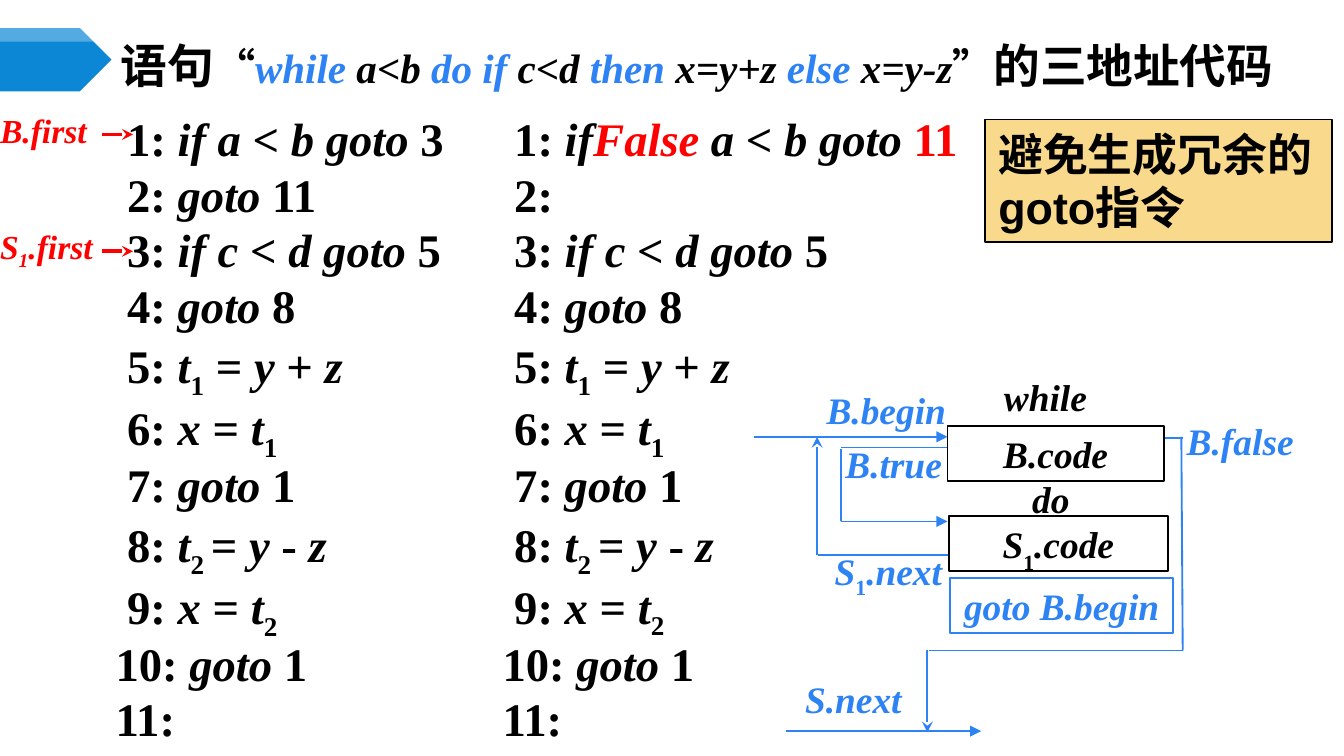
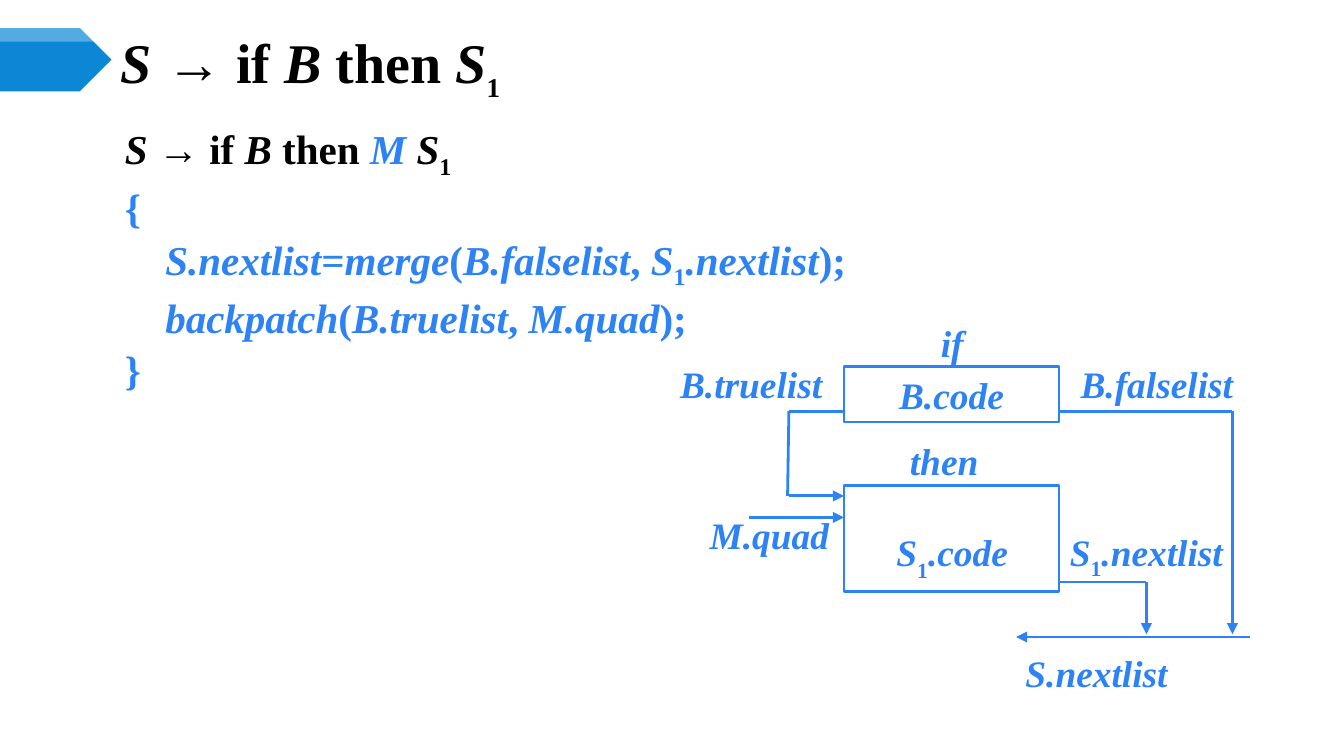
"""Two slides on three-address code and backpatching, laid out on a grid of 0.1 inch cells."""
from itertools import groupby

from lxml import etree
from pptx import Presentation
from pptx.dml.color import RGBColor
from pptx.enum.shapes import MSO_CONNECTOR, MSO_SHAPE
from pptx.enum.text import MSO_ANCHOR, MSO_AUTO_SIZE, PP_ALIGN
from pptx.oxml.ns import qn
from pptx.util import Inches, Pt

STRAIGHT = MSO_CONNECTOR.STRAIGHT
RECT, PENTAGON = MSO_SHAPE.RECTANGLE, MSO_SHAPE.PENTAGON
TOP, MIDDLE = MSO_ANCHOR.TOP, MSO_ANCHOR.MIDDLE
LEFT, CENTER, JUSTIFY = PP_ALIGN.LEFT, PP_ALIGN.CENTER, PP_ALIGN.JUSTIFY
NO_FIT = MSO_AUTO_SIZE.NONE

U = Inches(0.1)
COLS, ROWS = 100, 56.25
SERIF, CJK = "Times New Roman", "Noto Sans CJK SC"
BLACK, WHITE, RED, BLUE = "000000", "FFFFFF", "FF0000", "2D83F4"
BAND, CREAM = "0B87D6", "F9D98C"
rgb = RGBColor.from_string


def write(sp, at, lines, size=20, color=BLACK, accent=BLUE, alt=None, font=SERIF,
          inset=(0.7, 0.4), align=LEFT, anchor=TOP, wrap=True, indent=0,
          spacing=1.0, before=0, drop=-25):
    """Place a shape and fill it; * is italic, _ subscript, ^ accent colour, ~ CJK font."""
    sp.left, sp.top, sp.width, sp.height = (round(v * U) for v in at)
    tf = sp.text_frame
    tf.auto_size, tf.word_wrap, tf.vertical_anchor = NO_FIT, wrap, anchor
    tf.margin_left = tf.margin_right = round(inset[0] * U)
    tf.margin_top = tf.margin_bottom = round(inset[1] * U)
    for i, line in enumerate(lines):
        p = tf.add_paragraph() if i else tf.paragraphs[0]
        p.alignment, p.line_spacing, p.space_before = align, spacing, Pt(before)
        if indent:
            pPr = p._p.get_or_add_pPr()
            pPr.set("marL", str(round(indent * U)))
            pPr.set("indent", str(round(-indent * U)))
            etree.SubElement(pPr, qn("a:buNone"))
        marks, chars = frozenset(), []
        for char in line:
            if char in "*_^~":
                marks = marks ^ {char}
            else:
                chars.append((char, marks))
        for marks, group in groupby(chars, key=lambda pair: pair[1]):
            r = p.add_run()
            r.text = "".join(char for char, _ in group)
            r.font.size = Pt(alt if alt and marks & {"_", "~"} else size)
            r.font.bold, r.font.italic = True, "*" in marks
            r.font.color.rgb = rgb(accent if "^" in marks else color)
            r.font.name = CJK if "~" in marks else font
            rPr = r._r.get_or_add_rPr()
            etree.SubElement(rPr, qn("a:ea"), typeface=CJK)
            if "_" in marks:
                rPr.set("baseline", str(drop * 1000))


def add_line(s, ends, width=1, color=BLUE, arrow=None):
    """Draw a straight line, with an arrowhead at its end if one is named."""
    cn = s.shapes.add_connector(STRAIGHT, *(round(v * U) for v in ends))
    cn.line.color.rgb = rgb(color)
    cn.line.width = Pt(width)
    if arrow:
        etree.SubElement(cn.get_or_add_ln(), qn("a:tailEnd"), type=arrow)
    etree.SubElement(cn.element.spPr, qn("a:effectLst"))


prs = Presentation()
prs.slide_width, prs.slide_height = round(COLS * U), round(ROWS * U)
layout = prs.slide_layouts[1]
s1, s2 = (prs.slides.add_slide(layout) for _ in range(2))

master = prs.slide_master.shapes.element
for i, (height, fill, alpha) in enumerate([(4.7, BAND, 100), (1, WHITE, 30)]):
    sp = s1.shapes.add_shape(PENTAGON, 0, round(2.1 * U), round(8.3 * U), round(height * U))
    sp.shadow.inherit = False
    sp.fill.solid()
    sp.fill.fore_color.rgb = rgb(fill)
    sp.line.fill.background()
    clr = sp.element.spPr.find(qn("a:solidFill"))[0]
    etree.SubElement(clr, qn("a:alpha"), val=str(alpha * 1000))
    sp.element.nvSpPr.cNvPr.set("id", str(20 + i))
    master.insert(2 + i, sp.element)

titles = [
    (s1, 97.2, "~语句~“^*while*^* a*<*b ^do if ^c*<*d ^then^ x=y+z ^else^ x=y-z*”~的三地址代码~", 22, 25),
    (s2, 86.7, "*S *→ if *B* then *S*_1_", 30, 25),
]
for s, width, text, size, alt in titles:
    write(s.shapes.title, (8.3, 2.9, width, 3.9), [text], size, alt=alt,
          anchor=MIDDLE, drop=-30)

shared = [
    " 3: *if c* < *d goto* 5",
    " 4: *goto* 8",
    " 5: *t*_1_ = *y* + *z*",
    " 6: *x* = *t*_1_",
    " 7: *goto* 1",
    " 8: *t*_2 _= *y *- *z*",
    " 9: *x* = *t*_2_",
    "10: *goto* 1",
    "11:",
]
listings = [
    (s1.placeholders[1], 7.8, 29.6, [" 1: *if a* < *b goto* 3", " 2: *goto* 11"]),
    (s1.shapes.add_textbox(0, 0, U, U), 36.6, 40.9,
     [" 1: *if^False ^a* < *b goto *^11^", " 2:"]),
]
for sp, left, width, start in listings:
    write(sp, (left, 8.6, width, 47.7), start + shared, 25, accent=RED,
          inset=(0.8, 0.4), indent=3, spacing=0.8, before=5.75)

rules = [
    "*S *→ if* B* then *^M^ S*_1_",
    "^{^",
    "^\t*S.nextlist*=*merge*(*B.falselist*, *S*_1_*.nextlist*);^",
    "^\t*backpatch*(*B.truelist*, *M.quad*);^",
    "^}^",
]
write(s2.placeholders[1], (8.6, 8.6, 64.8, 35.3), rules, 22,
      align=JUSTIFY, indent=3, spacing=1.05)

while_lines = [
    ((88, 32.6, 84.2, 32.6), None),
    ((62.6, 38.8, 62.6, 33.4), None),
    ((62.6, 33.3, 71.7, 33.3), None),
    ((69.1, 48.4, 88, 48.4), None),
    ((62.6, 38.8, 70.5, 38.8), "triangle"),
    ((87.9, 32.5, 88, 48.4), None),
    ((71.1, 41.3, 60.9, 41.3), None),
    ((60.8, 41.3, 60.8, 32.5), "stealth"),
    ((56.1, 32.5, 70.5, 32.5), "triangle"),
    ((69, 48.4, 69, 54.5), "stealth"),
    ((58.5, 54.4, 73, 54.4), "triangle"),
]
if_lines = [
    ((55.7, 38.5, 62.8, 38.5), "triangle"),
    ((91.7, 30.6, 91.7, 47.2), "triangle"),
    ((58.7, 36.9, 62.8, 36.9), "triangle"),
    ((58.6, 36.9, 58.7, 30.6), None),
    ((58.7, 30.6, 64, 30.6), None),
    ((93, 47.4, 75.6, 47.4), "triangle"),
    ((77.6, 43.3, 85.3, 43.3), None),
    ((85.3, 43.3, 85.3, 47.2), "triangle"),
    ((78.8, 30.6, 91.7, 30.6), None),
]
for s, width, lines in [(s1, 1, while_lines), (s2, 1.5, if_lines)]:
    for ends, arrow in lines:
        add_line(s, ends, width, arrow=arrow)

boxes = [
    (s1, (70.7, 43, 16.6, 4.1), "*goto B.begin*", BLUE, 1),
    (s1, (70.5, 31.7, 16.1, 4.1), "*B.code*", BLACK, 1),
    (s1, (70.6, 38.4, 16.3, 4.1), "*S*_1_*.code*", BLACK, 1),
    (s2, (62.8, 27.3, 16, 4.1), "*B.code*", BLUE, 1.5),
    (s2, (62.8, 36.1, 16, 7.9), "", BLUE, 1.5),
    (s1, (73.3, 8.9, 25.8, 9.1), "避免生成冗余的goto指令", BLACK, 0.75),
]
for s, at, text, color, width in boxes:
    callout = width == 0.75
    sp = s.shapes.add_shape(RECT, 0, 0, U, U)
    sp.shadow.inherit = False
    sp.fill.solid()
    sp.fill.fore_color.rgb = rgb(CREAM if callout else WHITE)
    sp.line.color.rgb = rgb(color)
    sp.line.width = Pt(width)
    if callout:
        write(sp, at, [text], 24, font="Arial", inset=(1, 0.5))
    else:
        write(sp, at, [text], color=color, align=CENTER, drop=-30)

labels = [
    (s1, 74, 27.4, 10.7, "*while*", BLACK),
    (s1, 62.2, 32.4, 11.6, "*B.true*", BLUE),
    (s1, 87.6, 30.7, 11.5, "*B.false*", BLUE),
    (s1, 60.8, 28.4, 12.2, "*B.begin*", BLUE),
    (s1, 76.1, 35, 8.1, "*do*", BLACK),
    (s1, 61.4, 40.4, 11.8, "*S*_1_*.next*", BLUE),
    (s1, 59.2, 49.9, 11.8, "*S.next*", BLUE),
    (s2, 52.1, 37.7, 13.4, "*M.quad*", BLUE),
    (s2, 69.3, 23.4, 4.1, "*if*", BLUE),
    (s2, 49.9, 26.5, 15, "*B.truelist*", BLUE),
    (s2, 79.7, 26.5, 16.4, "*B.falselist*", BLUE),
    (s2, 75.6, 48, 15.8, "*S.nextlist*", BLUE),
    (s2, 78.9, 39, 14.9, "*S*_1_*.nextlist*", BLUE),
    (s2, 67, 32.2, 8.9, "*then*", BLUE),
]
for s, left, top, width, text, color in labels:
    sp = s.shapes.add_textbox(0, 0, U, U)
    write(sp, (left, top, width, 4.1), [text], color=color)

sp = s2.shapes.add_textbox(0, 0, U, U)
write(sp, (65.6, 34.5, 10.5, 8.2), ["*S*_1_*.code*"], color=BLUE, inset=(1, 0.5),
      align=CENTER, wrap=False, spacing=Pt(60), drop=-30)

for top, row, text in [(7.7, 10, "*B.first*"), (16.3, 18.7, "*S_1_.first*")]:
    sp = s1.shapes.add_textbox(0, 0, U, U)
    write(sp, (0, top, 7.5, 4), [text], 18, RED, inset=(0, 0.5), wrap=False)
    add_line(s1, (7.6, row, 9.9, row), 2, RED, "stealth")

prs.save("out.pptx")
